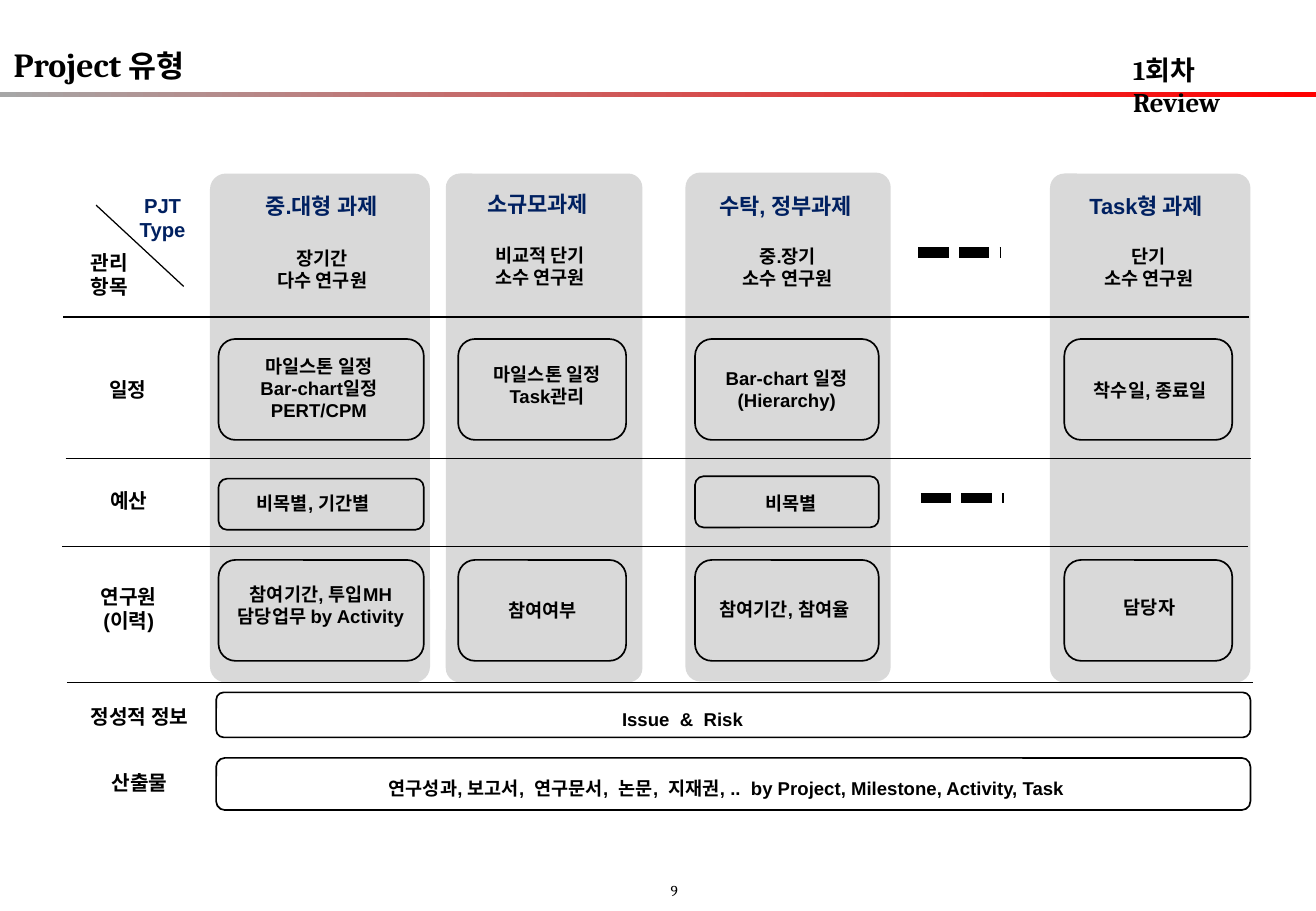
import pptx
import pptx.dml.color
import pptx.enum.dml
import pptx.enum.shapes
import pptx.enum.text
import pptx.oxml
import pptx.util

Cm, Pt = pptx.util.Cm, pptx.util.Pt
ALIGN = pptx.enum.text.PP_ALIGN
SHAPES = pptx.enum.shapes.MSO_SHAPE

BLACK, NAVY, BAND, GREY, RED = "000000", "002060", "D9D9D9", "A6A6A6", "FF0000"
SLIDE_WIDTH, SLIDE_HEIGHT = 27.51, 19.05
TEXT_WIDTH = 4.4

# Content: all lengths in cm; each text is (wording, centre, top)
title_parts = [("Project ", 20), ("유형", 18)]
session = "1회차 Review"
page_number = "9"

# Project types: band (left, top, width), frame (left, width), texts per row
project_types = [
    {"band": (4.39, 3.63, 4.6), "frame": (4.57, 4.29), "budget_top": 10.01,
     "name": ("중.대형 과제", 6.72, 3.91),
     "cells": [("장기간\n다수 연구원", 6.74, 5.03),
               ("마일스톤 일정\nBar-chart일정\nPERT/CPM", 6.67, 7.29),
               ("비목별, 기간별", 6.55, 10.16),
               ("참여기간, 투입MH\n담당업무 by Activity", 6.71, 12.07)]},
    {"band": (9.32, 3.63, 4.11), "frame": (9.58, 3.51), "budget_top": None,
     "name": ("소규모과제", 11.24, 3.86),
     "cells": [("비교적 단기\n소수 연구원", 11.29, 4.98),
               ("마일스톤 일정\nTask관리", 11.44, 7.47),
               ("참여여부", 11.34, 12.4)]},
    {"band": (14.33, 3.61, 4.29), "frame": (14.53, 3.84), "budget_top": 9.96,
     "name": ("수탁, 정부과제", 16.42, 3.91),
     "cells": [("중.장기\n소수 연구원", 16.47, 5.0),
               ("Bar-chart 일정\n(Hierarchy)", 16.45, 7.54),
               ("비목별", 16.54, 10.16),
               ("참여기간, 참여율", 16.4, 12.37)]},
    {"band": (21.95, 3.63, 4.19), "frame": (22.25, 3.51), "budget_top": None,
     "name": ("Task형 과제", 23.96, 3.91),
     "cells": [("단기\n소수 연구원", 24.02, 5.0),
               ("착수일, 종료일", 24.05, 7.8),
               ("담당자", 24.03, 12.34)]},
]
BAND_HEIGHT = 10.64
SCHEDULE_TOP, STAFF_TOP, FRAME_HEIGHT, BUDGET_HEIGHT = 7.09, 11.71, 2.11, 1.07

row_labels = [
    ("관리\n항목", 2.29, 5.11), ("일정", 2.67, 7.77), ("예산", 2.69, 10.08),
    ("연구원\n(이력)", 2.69, 12.09), ("정성적 정보", 2.92, 14.61),
    ("산출물", 2.92, 15.98),
]
corner_label = ("PJT\nType", 3.4, 3.91)

# Shared rows: text, frame top, frame height
shared_left, shared_width = 4.52, 21.62
shared_rows = [
    (("Issue  &  Risk", 14.27, 14.45), 14.48, 0.94),
    (("연구성과, 보고서,  연구문서,  논문,  지재권, ..  "
      "by Project, Milestone, Activity, Task", 15.19, 15.9), 15.85, 1.09),
]

# Lines: (left, top, right, bottom)
corner_line = (2.01, 4.29, 3.84, 5.99)
dividers = [(1.32, 6.63), (1.37, 9.58), (1.3, 11.43), (1.4, 14.27)]
DIVIDER_LENGTH = 24.79
ellipses = [(19.2, 5.28), (19.25, 10.41)]
ELLIPSIS_LENGTH = 1.73


def color(value):
    return pptx.dml.color.RGBColor.from_string(value)


def style(span, size, font="Arial", bold=True, tint=BLACK):
    span.font.size, span.font.name, span.font.bold = Pt(size), font, bold
    span.font.color.rgb = color(tint)


def add_box(left, top, width, height, text, size, font="Arial", bold=True,
            tint=BLACK, align=ALIGN.LEFT, spacing=None):
    box = page.shapes.add_textbox(Cm(left), Cm(top), Cm(width), Cm(height))
    box.text_frame.word_wrap = True
    box.text_frame.text = text
    for para in box.text_frame.paragraphs:
        para.alignment = align
        if spacing:
            para.line_spacing = spacing
        for span in para.runs:
            style(span, size, font, bold, tint)
    return box


def add_centred(item, size, tint=BLACK, width=TEXT_WIDTH, spacing=None):
    text, centre, top = item
    box = add_box(centre - width / 2, top, width, 0.85, text, size, tint=tint,
                  align=ALIGN.CENTER, spacing=spacing)
    box.text_frame.margin_left = box.text_frame.margin_right = 0


def add_panel(kind, left, top, width, height):
    panel = page.shapes.add_shape(kind, Cm(left), Cm(top), Cm(width), Cm(height))
    panel.shadow.inherit = False
    panel.line.fill.background()
    return panel


def add_frame(left, top, width, height):
    frame = add_panel(SHAPES.ROUNDED_RECTANGLE, left, top, width, height)
    frame.fill.background()
    frame.line.color.rgb = color(BLACK)
    frame.line.width = Pt(1)


def add_line(left, top, right, bottom, weight=0.75):
    line = page.shapes.add_connector(
        pptx.enum.shapes.MSO_CONNECTOR.STRAIGHT,
        Cm(left), Cm(top), Cm(right), Cm(bottom))
    line.line.color.rgb = color(BLACK)
    line.line.width = Pt(weight)
    line._element.spPr.append(pptx.oxml.parse_xml(
        '<a:effectLst xmlns:a="http://schemas.openxmlformats.org/drawingml/2006/main"/>'))
    return line


deck = pptx.Presentation()
deck.slide_width, deck.slide_height = Cm(SLIDE_WIDTH), Cm(SLIDE_HEIGHT)
page = deck.slides.add_slide(deck.slide_layouts[5])

# Header: gradient rule, title, session and page number
rule = add_panel(SHAPES.RECTANGLE, 0, 1.93, SLIDE_WIDTH, 0.1)
rule.fill.gradient()
rule.fill.gradient_angle = 0
for stop, tint in zip(rule.fill.gradient_stops, (GREY, RED)):
    stop.color.rgb = color(tint)

title = page.shapes.title
title.left, title.top, title.width, title.height = Cm(0.03), Cm(0.79), Cm(8), Cm(1.12)
title.text_frame.vertical_anchor = pptx.enum.text.MSO_ANCHOR.TOP
title.text_frame.auto_size = pptx.enum.text.MSO_AUTO_SIZE.NONE
heading = title.text_frame.paragraphs[0]
heading.alignment = ALIGN.LEFT
for part, size in title_parts:
    span = heading.add_run()
    span.text = part
    style(span, size, "Cambria")

add_box(23.44, 0.99, 3.4, 0.94, session, 16, "Cambria")
add_box(13.77, 18.31, 0.94, 0.64, page_number, 9, "Cambria", bold=False)

# Project type columns
for project in project_types:
    left, top, width = project["band"]
    band = add_panel(SHAPES.ROUNDED_RECTANGLE, left, top, width, BAND_HEIGHT)
    band.adjustments[0] = 0.072
    band.fill.solid()
    band.fill.fore_color.rgb = color(BAND)

    frame_left, frame_width = project["frame"]
    for frame_top in (SCHEDULE_TOP, STAFF_TOP):
        add_frame(frame_left, frame_top, frame_width, FRAME_HEIGHT)
    if project["budget_top"]:
        add_frame(frame_left, project["budget_top"], frame_width, BUDGET_HEIGHT)

    add_centred(project["name"], 13, NAVY)
    for cell in project["cells"]:
        add_centred(cell, 11)

# Row labels and shared rows
for label in row_labels:
    add_centred(label, 12)
add_centred(corner_label, 12, NAVY)
for text, top, height in shared_rows:
    add_frame(shared_left, top, shared_width, height)
    add_centred(text, 11, width=18, spacing=1.5)

# Corner diagonal, dividers and dotted ellipses
add_line(*corner_line)
for left, top in dividers:
    add_line(left, top, left + DIVIDER_LENGTH, top)
for left, top in ellipses:
    dots = add_line(left, top, left + ELLIPSIS_LENGTH, top, 6)
    dots.line.dash_style = pptx.enum.dml.MSO_LINE.SQUARE_DOT

deck.save("out.pptx")
